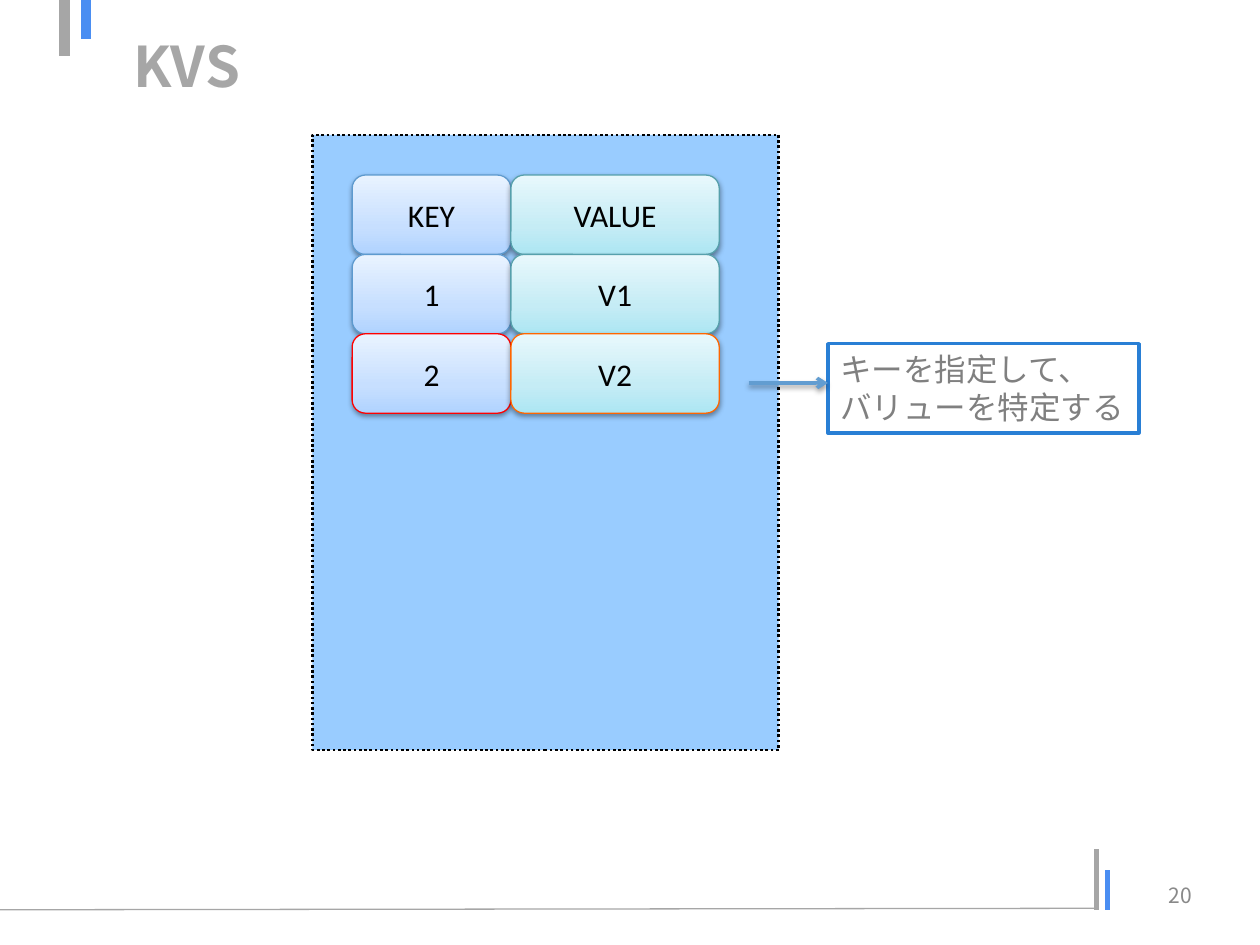
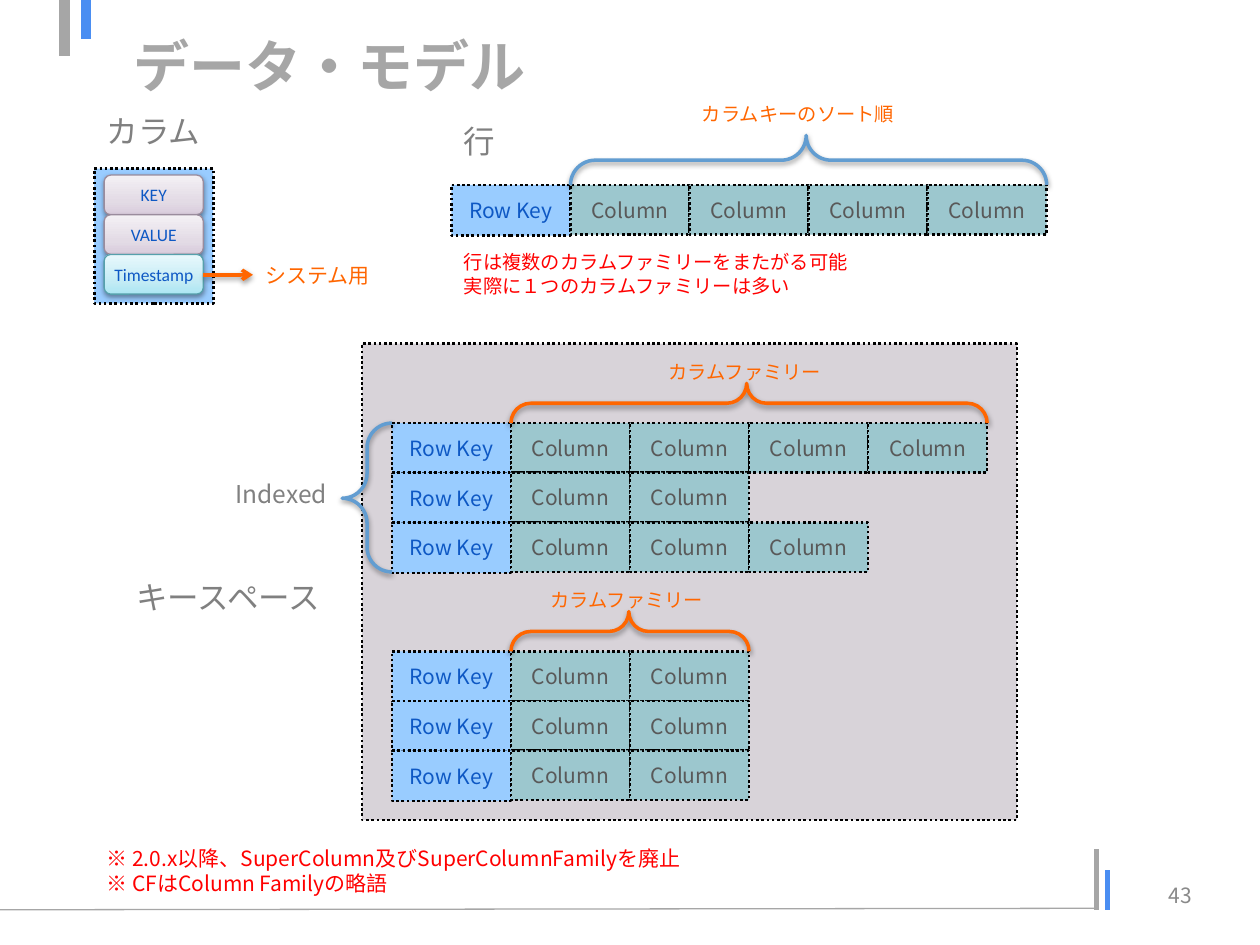
from dataclasses import dataclass

from lxml import etree
from pptx import Presentation
from pptx.dml.color import RGBColor
from pptx.enum.dml import MSO_LINE
from pptx.enum.shapes import MSO_CONNECTOR, MSO_SHAPE
from pptx.enum.text import MSO_ANCHOR, MSO_AUTO_SIZE, PP_ALIGN
from pptx.oxml import parse_xml
from pptx.oxml.ns import nsdecls, qn
from pptx.util import Cm, Pt

RECT, ROUND, BRACE = MSO_SHAPE.RECTANGLE, MSO_SHAPE.ROUNDED_RECTANGLE, MSO_SHAPE.LEFT_BRACE
LEFT, CENTER, RIGHT = PP_ALIGN.LEFT, PP_ALIGN.CENTER, PP_ALIGN.RIGHT
TOP, MIDDLE = MSO_ANCHOR.TOP, MSO_ANCHOR.MIDDLE
GROW, FIXED = MSO_AUTO_SIZE.SHAPE_TO_FIT_TEXT, MSO_AUTO_SIZE.NONE
DOTTED, STRAIGHT = MSO_LINE.ROUND_DOT, MSO_CONNECTOR.STRAIGHT
TITLE_ONLY = 5


@dataclass(frozen=True)
class Theme:
    sans: str = "Noto Sans CJK JP"
    latin: str = "Calibri"
    gray: str = "A6A6A6"
    accent: str = "4A8EF2"
    page: str = "898989"
    body: str = "808080"
    column_text: str = "595959"
    key_text: str = "0E58C4"
    black: str = "000000"
    white: str = "FFFFFF"
    red: str = "FF0000"
    orange: str = "FF6600"
    sky: str = "99CCFF"
    teal: str = "9CC7CE"
    mauve: str = "D8D3D9"
    frame: str = "297FD5"
    arrow: str = "629DD1"
    blue_fade: tuple = ("B0D3FF", "C7DFFF", "E9F3FF")
    aqua_fade: tuple = ("ACE6F3", "C5ECF5", "E8F8FC")
    mauve_fade: tuple = ("D9CCDC", "E3DBE5", "F4F1F5")
    blue_edge: str = "5D9ACF"
    aqua_edge: str = "56A0AC"
    mauve_edge: str = "9A8C9D"
    title_size: int = 32
    head_size: int = 18
    index_size: int = 14
    text_size: int = 12
    note_size: int = 11
    part_size: int = 10


T = Theme()

# Content: all lengths in centimetres
RULES = [  # from x, from y, to x, to y, colour, width
    (-0.1, 18.34, 22.1, 18.31, T.gray, 0.75),
    (22.1, 18.34, 22.1, 17.12, T.gray, 3),
    (22.33, 18.34, 22.33, 17.53, T.accent, 3),
    (1.3, 1.12, 1.3, -0.08, T.gray, 6),
    (1.73, 0, 1.73, 0.79, T.accent, 6),
]
TITLE_AT = (2.44, 0.1, 22.86, 2.44)
PAGE_AT = (18.36, 17.53, 5.92, 1.02)

STORE_AT = (6.3, 2.72, 9.4, 12.4)
PAIRS = [  # key, value, key edge, value edge
    ("KEY", "VALUE", T.blue_edge, T.aqua_edge),
    ("1", "V1", T.blue_edge, T.aqua_edge),
    ("2", "V2", T.red, T.orange),
]
PAIRS_LEFT, PAIRS_TOP, PAIR_HEIGHT, KEY_WIDTH, VALUE_WIDTH = 7.1, 3.53, 1.6, 3.2, 4.2
LOOKUP = ["キーを指定して、", "バリューを特定する"]
LOOKUP_AT = (18.36 - 1.67, 6.93, 6.27, 1.8)
LOOKUP_ARROW = (15.09, 7.72, 16.69, 7.72)

COLUMN_AT = (1.9, 3.4, 2.4, 2.72)
COLUMN_PARTS = [
    ("KEY", T.mauve_fade, T.mauve_edge),
    ("VALUE", T.mauve_fade, T.mauve_edge),
    ("Timestamp", T.aqua_fade, T.aqua_edge),
]
PARTS_LEFT, PARTS_TOP, PART_WIDTH, PART_HEIGHT = 2.1, 3.53, 2.0, 0.8
SYSTEM_ARROW = (4.1, 5.54, 5.1, 5.54)

KEYSPACE_AT = (7.3, 6.93, 13.2, 9.6)
FAMILIES = [  # left, top, columns in each row, brace height, brace colour
    (9.1, 3.73, [4], 1.0, T.arrow),
    (7.9, 8.53, [4, 2, 3], 0.8, T.orange),
    (7.9, 13.13, [2, 2, 2], 0.8, T.orange),
]
CELL_WIDTH, ROW_HEIGHT, ROW_KEY_HEIGHT = 2.4, 1.0, 1.02
INDEX_BRACE_AT = (6.9, 8.53, 1.0, 3 * ROW_HEIGHT)
LABELS = [  # lines, place, size, colour, wrap
    (["カラム"], (1.9, 2.13, 2.44, 1.02), T.head_size, T.body, False),
    (["行"], (9.1, 2.34, 1.14, 1.02), T.head_size, T.body, False),
    (["キースペース"], (2.5, 11.53, 4.27, 1.02), T.head_size, T.body, False),
    (["※ 2.0.x以降、SuperColumn及びSuperColumnFamilyを廃止",
      "※ CFはColumn Familyの略語"], (1.9, 16.92, 17.6, 1.27), T.text_size, T.red, True),
    (["システム用"], (5.1, 5.16, 2.64, 0.76), T.text_size, T.orange, False),
    (["Indexed"], (4.5, 9.53, 2.4, 0.86), T.index_size, T.body, True),
    (["カラムキーのソート順"], (13.9, 1.93, 4.42, 0.74), T.note_size, T.orange, False),
    (["行は複数のカラムファミリーをまたがる可能",
      "実際に１つのカラムファミリーは多い"], (9.1, 4.93, 13.2, 1.19), T.note_size, T.red, True),
    (["カラムファミリー"], (10.85, 11.73, 3.63, 0.74), T.note_size, T.orange, False),
    (["カラムファミリー"], (13.23, 7.14, 3.63, 0.74), T.note_size, T.orange, False),
]


# Text formats
def margins(side, end):
    return {"margin_left": Cm(side), "margin_right": Cm(side),
            "margin_top": Cm(end), "margin_bottom": Cm(end)}


MIDDLE_TEXT = {"vertical_anchor": MIDDLE, "word_wrap": True, "auto_size": FIXED}
PART_TEXT = MIDDLE_TEXT | margins(0.1, 0.1)
ROW_KEY_TEXT = PART_TEXT | {"word_wrap": False}
COLUMN_TEXT = ROW_KEY_TEXT | margins(0.1, 0.13)
LABEL_TEXT = {"vertical_anchor": TOP, "word_wrap": False, "auto_size": GROW}


# Drawing helpers
def place(at):
    return [Cm(length) for length in at]


def write(shape, lines, size, color, frame_format, align=LEFT, font=T.sans, bold=False):
    frame = shape.text_frame
    frame.text = "\n".join(lines)
    for name, value in frame_format.items():
        setattr(frame, name, value)
    run_format = {"size": Pt(size), "name": font, "bold": bold}
    for paragraph in frame.paragraphs:
        paragraph.alignment = align
        for run in paragraph.runs:
            for name, value in run_format.items():
                setattr(run.font, name, value)
            run.font.color.rgb = RGBColor.from_string(color)
    for properties in shape.element.iter(qn("a:rPr")):
        etree.SubElement(properties, qn("a:ea")).set("typeface", font)


def set_line(item, color, width):
    item.line.color.rgb = RGBColor.from_string(color)
    item.line.width = Pt(width)


def set_effects(item, shadow):
    properties = item.element.spPr
    effects = properties.find(qn("a:effectLst"))
    if effects is None:
        effects = etree.SubElement(properties, qn("a:effectLst"))
    if shadow:
        effects.append(parse_xml(
            f'<a:outerShdw {nsdecls("a")} blurRad="{Pt(3.1)}" dist="{Pt(1.6)}" dir="5400000"'
            ' rotWithShape="0"><a:srgbClr val="000000"><a:alpha val="38000"/></a:srgbClr>'
            '</a:outerShdw>'))


def add_box(slide, at, fill, edge, width=1.5, kind=RECT, dash=None):
    box = slide.shapes.add_shape(kind, *place(at))
    box.shadow.inherit = False
    if fill:
        box.fill.solid()
        box.fill.fore_color.rgb = RGBColor.from_string(fill)
    else:
        box.fill.background()
    set_line(box, edge, width)
    if dash:
        box.line.dash_style = dash
    return box


def add_dotted(slide, at, fill):
    return add_box(slide, at, fill, T.black, dash=DOTTED)


def add_tile(slide, at, text, fade, edge, size, color, frame_format):
    tile = add_box(slide, at, None, edge, 0.75, ROUND)
    tile.fill.gradient()
    tile.fill.gradient_angle = 90
    stops = tile.element.spPr.find(".//" + qn("a:gsLst"))
    stops.clear()
    for position, stop in zip((0, 35000, 100000), fade):
        stops.append(parse_xml(f'<a:gs {nsdecls("a")} pos="{position}">'
                               f'<a:srgbClr val="{stop}"/></a:gs>'))
    set_effects(tile, shadow=True)
    write(tile, [text], size, color, frame_format, CENTER, T.latin)


def add_line(slide, ends, color, width, arrow=False):
    line = slide.shapes.add_connector(STRAIGHT, *place(ends))
    set_line(line, color, width)
    if arrow:
        etree.SubElement(line.element.spPr.find(qn("a:ln")), qn("a:tailEnd")).set("type", "arrow")
    set_effects(line, shadow=arrow)
    return line


def add_brace(slide, at, color, upward=False):
    left, top, width, height = at
    if upward:  # a turned brace keeps its centre and swaps its sides
        at = (left + (width - height) / 2, top + (height - width) / 2, height, width)
    brace = add_box(slide, at, None, color, 2, BRACE)
    brace.rotation = 90 if upward else 0
    brace.adjustments[0], brace.adjustments[1] = 0.5, 0.505
    set_effects(brace, shadow=True)


def add_family(slide, left, top, column_counts, brace_height, brace_color):
    for row, count in enumerate(column_counts):
        y = top + row * ROW_HEIGHT
        row_key = add_dotted(slide, (left, y, CELL_WIDTH, ROW_KEY_HEIGHT), T.sky)
        write(row_key, ["Row Key"], T.text_size, T.key_text, ROW_KEY_TEXT, CENTER)
        for index in range(1, count + 1):
            column = add_dotted(slide, (left + index * CELL_WIDTH, y, CELL_WIDTH, ROW_HEIGHT), T.teal)
            write(column, ["Column"], T.text_size, T.column_text, COLUMN_TEXT, CENTER)
    add_brace(slide, (left + CELL_WIDTH, top - brace_height,
                      max(column_counts) * CELL_WIDTH, brace_height), brace_color, upward=True)


# Shared slide parts
def add_rules_to_layout(slide):
    for number, (*ends, color, width) in enumerate(RULES, start=20):
        rule = add_line(slide, ends, color, width)
        rule.element.nvCxnSpPr.cNvPr.set("id", str(number))
        slide.slide_layout.shapes.element.append(rule.element)


def add_slide(deck, title, page):
    slide = deck.slides.add_slide(deck.slide_layouts[TITLE_ONLY])
    heading = slide.shapes.title
    heading.left, heading.top, heading.width, heading.height = place(TITLE_AT)
    write(heading, [title], T.title_size, T.gray, MIDDLE_TEXT, bold=True)
    page_number = slide.shapes.add_textbox(*place(PAGE_AT))
    write(page_number, [page], T.text_size, T.page, MIDDLE_TEXT, RIGHT)
    return slide


# Slides
def build_key_value_store(slide):
    add_dotted(slide, STORE_AT, T.sky)
    for row, (key, value, key_edge, value_edge) in enumerate(PAIRS):
        y = PAIRS_TOP + row * PAIR_HEIGHT
        add_tile(slide, (PAIRS_LEFT, y, KEY_WIDTH, PAIR_HEIGHT), key,
                 T.blue_fade, key_edge, T.head_size, T.black, MIDDLE_TEXT)
        add_tile(slide, (PAIRS_LEFT + KEY_WIDTH, y, VALUE_WIDTH, PAIR_HEIGHT), value,
                 T.aqua_fade, value_edge, T.head_size, T.black, MIDDLE_TEXT)
    lookup = add_box(slide, LOOKUP_AT, T.white, T.frame, 2)
    write(lookup, LOOKUP, T.head_size, T.body, LABEL_TEXT)
    add_line(slide, LOOKUP_ARROW, T.arrow, 2, arrow=True)


def build_data_model(slide):
    add_dotted(slide, KEYSPACE_AT, T.mauve)
    add_dotted(slide, COLUMN_AT, T.sky)
    for row, (part, fade, edge) in enumerate(COLUMN_PARTS):
        add_tile(slide, (PARTS_LEFT, PARTS_TOP + row * PART_HEIGHT, PART_WIDTH, PART_HEIGHT),
                 part, fade, edge, T.part_size, T.key_text, PART_TEXT)
    for family in FAMILIES:
        add_family(slide, *family)
    add_brace(slide, INDEX_BRACE_AT, T.arrow)
    add_line(slide, SYSTEM_ARROW, T.orange, 2, arrow=True)
    for lines, at, size, color, wrap in LABELS:
        label = slide.shapes.add_textbox(*place(at))
        write(label, lines, size, color, LABEL_TEXT | {"word_wrap": wrap})


def main():
    deck = Presentation()
    deck.slide_width, deck.slide_height = Cm(25.4), Cm(19.05)
    store = add_slide(deck, "KVS", "20")
    add_rules_to_layout(store)
    build_key_value_store(store)
    build_data_model(add_slide(deck, "データ・モデル", "43"))
    deck.save("out.pptx")


if __name__ == "__main__":
    main()
